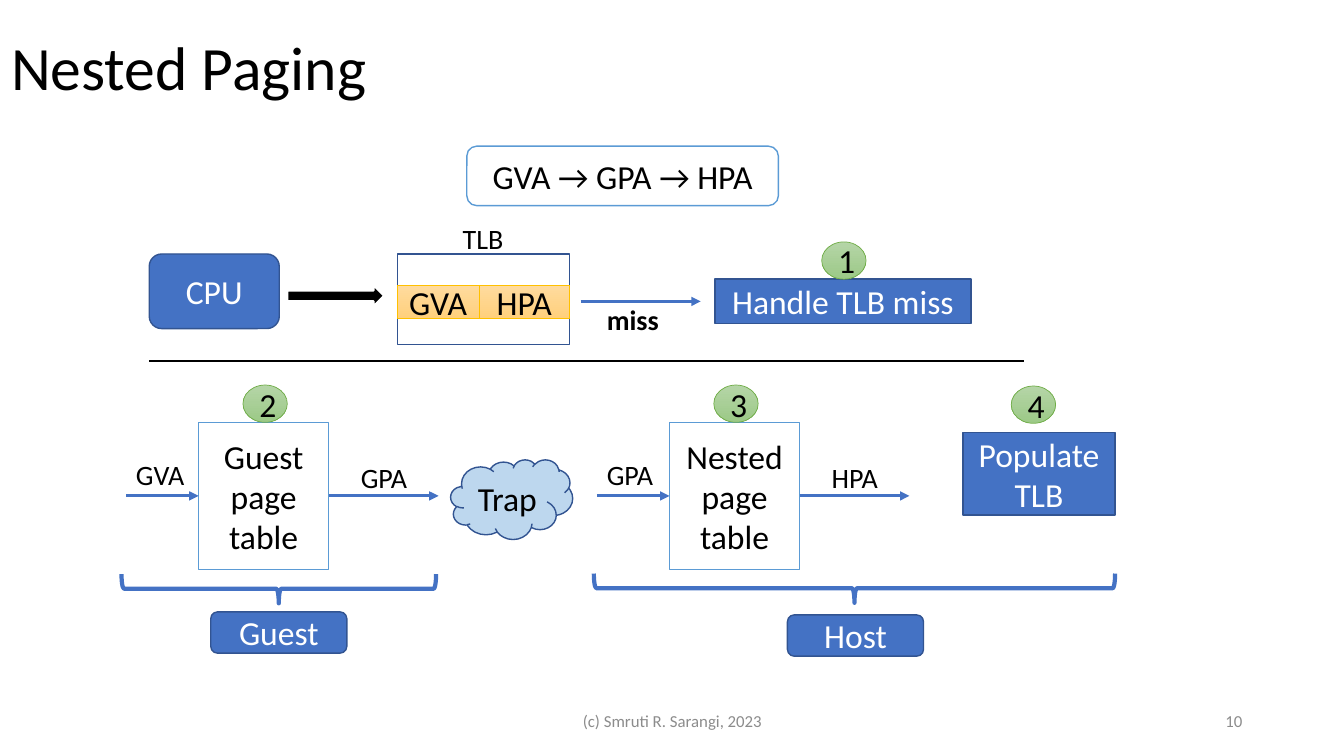
from lxml import etree
from pptx import Presentation
from pptx.dml.color import RGBColor
from pptx.enum.shapes import MSO_CONNECTOR, MSO_SHAPE
from pptx.enum.text import MSO_ANCHOR, MSO_AUTO_SIZE, PP_ALIGN
from pptx.oxml.ns import qn
from pptx.util import Emu, Pt

PX = 9144
FONT = "Calibri"
TITLE_ONLY = 5
LEFT_SIDE, RIGHT_SIDE = 1, 3

RECTANGLE = MSO_SHAPE.RECTANGLE
ROUNDED = MSO_SHAPE.ROUNDED_RECTANGLE
OVAL = MSO_SHAPE.OVAL
CLOUD = MSO_SHAPE.CLOUD
RIGHT_ARROW = MSO_SHAPE.RIGHT_ARROW
LEFT_BRACE = MSO_SHAPE.LEFT_BRACE
STRAIGHT = MSO_CONNECTOR.STRAIGHT
MIDDLE = MSO_ANCHOR.MIDDLE
FIT_SHAPE = MSO_AUTO_SIZE.SHAPE_TO_FIT_TEXT
LEFT, CENTER, RIGHT = PP_ALIGN.LEFT, PP_ALIGN.CENTER, PP_ALIGN.RIGHT

BLACK = RGBColor(0x00, 0x00, 0x00)
WHITE = RGBColor(0xFF, 0xFF, 0xFF)
GRAY = RGBColor(0x8C, 0x8C, 0x8C)
BLUE = RGBColor(0x44, 0x72, 0xC4)
DARK_BLUE = RGBColor(0x32, 0x54, 0x91)
SKY_BLUE = RGBColor(0x5B, 0x9B, 0xD5)
PALE_BLUE = RGBColor(0xBD, 0xD7, 0xEE)
GOLD = RGBColor(0xFF, 0xC0, 0x00)
GREEN = RGBColor(0x70, 0xAD, 0x47)
GOLD_GRADIENT = (RGBColor(0xFF, 0xDB, 0x9E), RGBColor(0xFF, 0xD0, 0x7C))
GREEN_GRADIENT = (RGBColor(0xB5, 0xD5, 0xA7), RGBColor(0x9C, 0xC9, 0x87))


def px(*lengths):
    return [Emu(length * PX) for length in lengths]


def write(shape, text, size, color, align, bold=False):
    shape.text_frame.text = text
    paragraph = shape.text_frame.paragraphs[0]
    paragraph.alignment = align
    font = paragraph.runs[0].font
    font.name, font.size, font.bold = FONT, Pt(size), bold
    font.color.rgb = color


def paint(shape, fill):
    if fill is None:
        shape.fill.background()
    elif isinstance(fill, RGBColor):
        shape.fill.solid()
        shape.fill.fore_color.rgb = fill
    else:
        shape.fill.gradient()
        shape.fill.gradient_angle = 270
        for stop, color in zip(shape.fill.gradient_stops, fill):
            stop.color.rgb = color


def add_box(slide, kind, bounds, fill, line, width=1, text="", color=BLACK):
    shape = slide.shapes.add_shape(kind, *px(*bounds))
    shape.shadow.inherit = False
    paint(shape, fill)
    shape.line.color.rgb = line
    shape.line.width = Pt(width)
    if text:
        shape.text_frame.vertical_anchor = MIDDLE
        write(shape, text, 24, color, CENTER)
    return shape


def add_blue_box(slide, kind, bounds, text):
    return add_box(slide, kind, bounds, BLUE, DARK_BLUE, text=text, color=WHITE)


def add_step(slide, left, top, number):
    add_box(slide, OVAL, (left, top, 44, 37), GREEN_GRADIENT, GREEN, 0.5, number)


def add_label(slide, bounds, text, bold=False):
    label = slide.shapes.add_textbox(*px(*bounds))
    label.text_frame.word_wrap = False
    label.text_frame.auto_size = FIT_SHAPE
    write(label, text, 20, BLACK, LEFT, bold)


def add_footer(slide, bounds, text, align):
    footer = slide.shapes.add_textbox(*px(*bounds))
    footer.text_frame.word_wrap = True
    footer.text_frame.vertical_anchor = MIDDLE
    write(footer, text, 12, GRAY, align)


def add_line(slide, start, end, y, color, width):
    connector = slide.shapes.add_connector(STRAIGHT, *px(start, y, end, y))
    connector.line.color.rgb = color
    connector.line.width = Pt(width)
    etree.SubElement(connector._element.spPr, qn("a:effectLst"))
    return connector


def add_arrow(slide, start, end, y):
    arrow = add_line(slide, start, end, y, BLUE, 2.25)
    etree.SubElement(arrow.line._get_or_add_ln(), qn("a:tailEnd"), type="triangle")
    return arrow


def add_page_table(slide, left, number, name, source, target):
    table = add_box(slide, RECTANGLE, (left, 419, 129, 146), WHITE, SKY_BLUE, text=name)
    add_step(slide, left + 44, 382, number)
    add_label(slide, (left - 72, 449, 69, 44), source)
    add_label(slide, (left + 151, 452, 67, 44), target)
    add_arrow(slide, left - 72, left, 492).end_connect(table, LEFT_SIDE)
    add_arrow(slide, left + 129, left + 238, 492).begin_connect(table, RIGHT_SIDE)


def add_side(slide, brace_bounds, name_left, name_top, name):
    brace = add_box(slide, LEFT_BRACE, brace_bounds, None, BLUE, 3)
    brace.rotation = 270
    add_blue_box(slide, ROUNDED, (name_left, name_top, 135, 41), name)


def add_title(slide, text):
    title = slide.shapes.title
    title.left, title.top, title.width, title.height = px(1, -3, 1150, 145)
    title.text_frame.vertical_anchor = MIDDLE
    write(title, text, 44, BLACK, LEFT)
    title.text_frame.paragraphs[0].line_spacing = 0.9


def add_tlb_lookup(slide):
    add_blue_box(slide, ROUNDED, (148, 252, 129, 74), "CPU")
    add_box(slide, RIGHT_ARROW, (285, 283, 96, 21), BLACK, WHITE, 1.5)
    add_box(slide, RECTANGLE, (394, 252, 171, 90), None, DARK_BLUE)
    for left, width, name in ((394, 81, "GVA"), (475, 90, "HPA")):
        add_box(slide, RECTANGLE, (left, 283, width, 33), GOLD_GRADIENT, GOLD, 0.5, name)
    add_label(slide, (449, 215, 61, 44), "TLB")
    add_arrow(slide, 576, 695, 299)
    add_label(slide, (592, 295, 72, 44), "miss", bold=True)
    add_blue_box(slide, RECTANGLE, (709, 277, 254, 44), "Handle TLB miss")
    add_step(slide, 815, 240, "1")


def main():
    presentation = Presentation()
    presentation.slide_width, presentation.slide_height = px(1333, 750)
    slide = presentation.slides.add_slide(presentation.slide_layouts[TITLE_ONLY])

    add_title(slide, "Nested Paging")
    add_footer(slide, (442, 695, 450, 40), "(c) Smruti R. Sarangi, 2023", CENTER)
    add_footer(slide, (942, 695, 300, 40), "10", RIGHT)

    add_box(slide, ROUNDED, (463, 145, 309, 59), WHITE, SKY_BLUE, text="GVA → GPA → HPA")
    add_tlb_lookup(slide)
    add_line(slide, 148, 1016, 358, BLACK, 1.5)

    add_page_table(slide, 197, "2", "Guest page table", "GVA", "GPA")
    add_box(slide, CLOUD, (447, 456, 121, 79), PALE_BLUE, DARK_BLUE, text="Trap")
    add_page_table(slide, 664, "3", "Nested page table", "GPA", "HPA")
    add_step(slide, 1003, 383, "4")
    add_blue_box(slide, RECTANGLE, (955, 429, 151, 82), "Populate TLB")

    add_side(slide, (262, 428, 29, 312), 209, 607, "Guest")
    add_side(slide, (833, 325, 29, 517), 781, 610, "Host")

    presentation.save("out.pptx")


if __name__ == "__main__":
    main()
